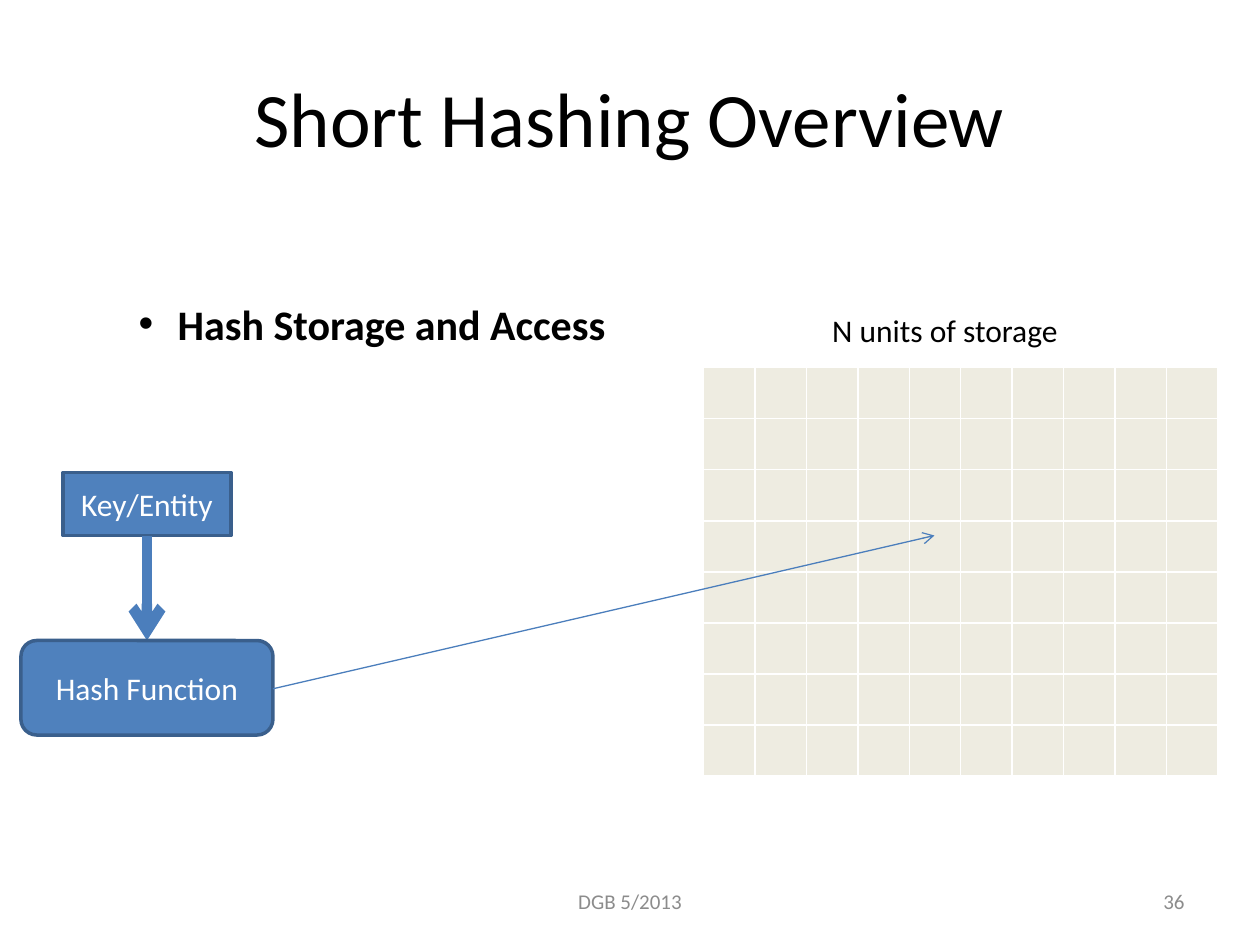
from lxml import etree
from pptx import Presentation
from pptx.dml.color import RGBColor
from pptx.enum.shapes import MSO_CONNECTOR, MSO_SHAPE
from pptx.enum.text import MSO_ANCHOR, MSO_AUTO_SIZE, PP_ALIGN
from pptx.oxml.ns import qn
from pptx.util import Inches, Pt

LEFT, CENTER, RIGHT = PP_ALIGN.LEFT, PP_ALIGN.CENTER, PP_ALIGN.RIGHT
TOP, MIDDLE = MSO_ANCHOR.TOP, MSO_ANCHOR.MIDDLE
RECT, ROUNDED = MSO_SHAPE.RECTANGLE, MSO_SHAPE.ROUNDED_RECTANGLE
STRAIGHT = MSO_CONNECTOR.STRAIGHT
FIT_NONE = MSO_AUTO_SIZE.NONE
COLORS = {"text": "000000", "muted": "8C8C8C", "white": "FFFFFF", "cell": "EEECE1",
          "box": "4F81BD", "edge": "3A5F8C", "arrow": "4B7EBC"}


class Deck:
    """Styles and places elements on a 120 by 90 grid of a 10 by 7.5 inch slide."""

    def __init__(self, font="Calibri"):
        self.prs = Presentation()
        self.prs.slide_width, self.prs.slide_height = Inches(10), Inches(7.5)
        self.unit = self.prs.slide_width / 120
        self.font = font
        self.s = None

    def add_slide(self):
        self.s = self.prs.slides.add_slide(self.prs.slide_layouts[1])

    def grid(self, *values):
        return [round(v * self.unit) for v in values]

    def color(self, name):
        return RGBColor.from_string(COLORS[name])

    def put_text(self, sp, text, size, color="text", align=CENTER, anchor=MIDDLE, bold=False):
        tf = sp.text_frame
        frame = {"word_wrap": True, "auto_size": FIT_NONE, "vertical_anchor": anchor}
        for name, value in frame.items():
            setattr(tf, name, value)
        p = tf.paragraphs[0]
        p.alignment = align
        r = p.add_run()
        r.text = text
        for name, value in {"name": self.font, "size": Pt(size), "bold": bold}.items():
            setattr(r.font, name, value)
        r.font.color.rgb = self.color(color)
        return p

    def placeholder(self, index, at, text, size, **style):
        sp = self.s.placeholders[index]
        for name, value in zip(("left", "top", "width", "height"), self.grid(*at)):
            setattr(sp, name, value)
        return self.put_text(sp, text, size, **style)

    def bullet(self, at, text, size, spacing):
        p = self.placeholder(1, at, text, size, align=LEFT, anchor=TOP, bold=True)
        pPr = p._p.get_or_add_pPr()
        pPr.set("marL", str(Inches(0.31)))
        pPr.set("indent", str(-Inches(0.31)))
        etree.SubElement(pPr, qn("a:buFont"), typeface="Arial")
        etree.SubElement(pPr, qn("a:buChar"), char="•")
        p.line_spacing = spacing
        p.space_before = Pt(0)

    def label(self, at, text, size, **style):
        self.put_text(self.s.shapes.add_textbox(*self.grid(*at)), text, size, **style)

    def box(self, kind, at, text):
        sp = self.s.shapes.add_shape(kind, *self.grid(*at))
        sp.shadow.inherit = False
        sp.fill.solid()
        sp.fill.fore_color.rgb = self.color("box")
        sp.line.color.rgb = self.color("edge")
        sp.line.width = Pt(2)
        self.put_text(sp, text, 18, color="white")

    def arrow(self, start, end, width):
        c = self.s.shapes.add_connector(STRAIGHT, *self.grid(*start, *end))
        c.line.color.rgb = self.color("arrow")
        c.line.width = Pt(width)
        spPr = c._element.spPr
        etree.SubElement(spPr.find(qn("a:ln")), qn("a:tailEnd"), type="arrow")
        etree.SubElement(spPr, qn("a:effectLst"))

    def table(self, rows, cols, at):
        table = self.s.shapes.add_table(rows, cols, *self.grid(*at)).table
        table.first_row = table.horz_banding = False
        for cell in table.iter_cells():
            cell.fill.solid()
            cell.fill.fore_color.rgb = self.color("cell")
            self.borders(cell._tc.get_or_add_tcPr())

    def borders(self, tcPr):
        for i, side in enumerate("LRTB"):
            ln = etree.Element(qn(f"a:ln{side}"), w=str(Pt(1)))
            fill = etree.SubElement(ln, qn("a:solidFill"))
            etree.SubElement(fill, qn("a:srgbClr"), val=COLORS["white"])
            tcPr.insert(i, ln)


def main():
    deck = Deck()
    deck.add_slide()
    deck.placeholder(0, (6, 3.6, 108, 15), "Short Hashing Overview", 44)
    deck.label((41, 83.4, 38, 4.8), "DGB 5/2013", 12, color="muted")
    deck.label((86, 83.4, 28, 4.8), "36", 12, color="muted", align=RIGHT)
    deck.bullet((12, 23, 93, 9.6), "Hash Storage and Access", 24, 2.0)
    deck.table(8, 10, (67, 35, 49, 38.9))
    deck.label((71, 29, 38, 4.8), "N units of storage", 18, anchor=TOP)
    deck.box(RECT, (6, 45, 16, 6), "Key/Entity")
    deck.arrow((14, 51), (14, 61), 6)
    deck.box(ROUNDED, (2, 61, 24, 9), "Hash Function")
    deck.arrow((26, 65.6), (89, 51), 0.75)
    deck.prs.save("out.pptx")


if __name__ == "__main__":
    main()
